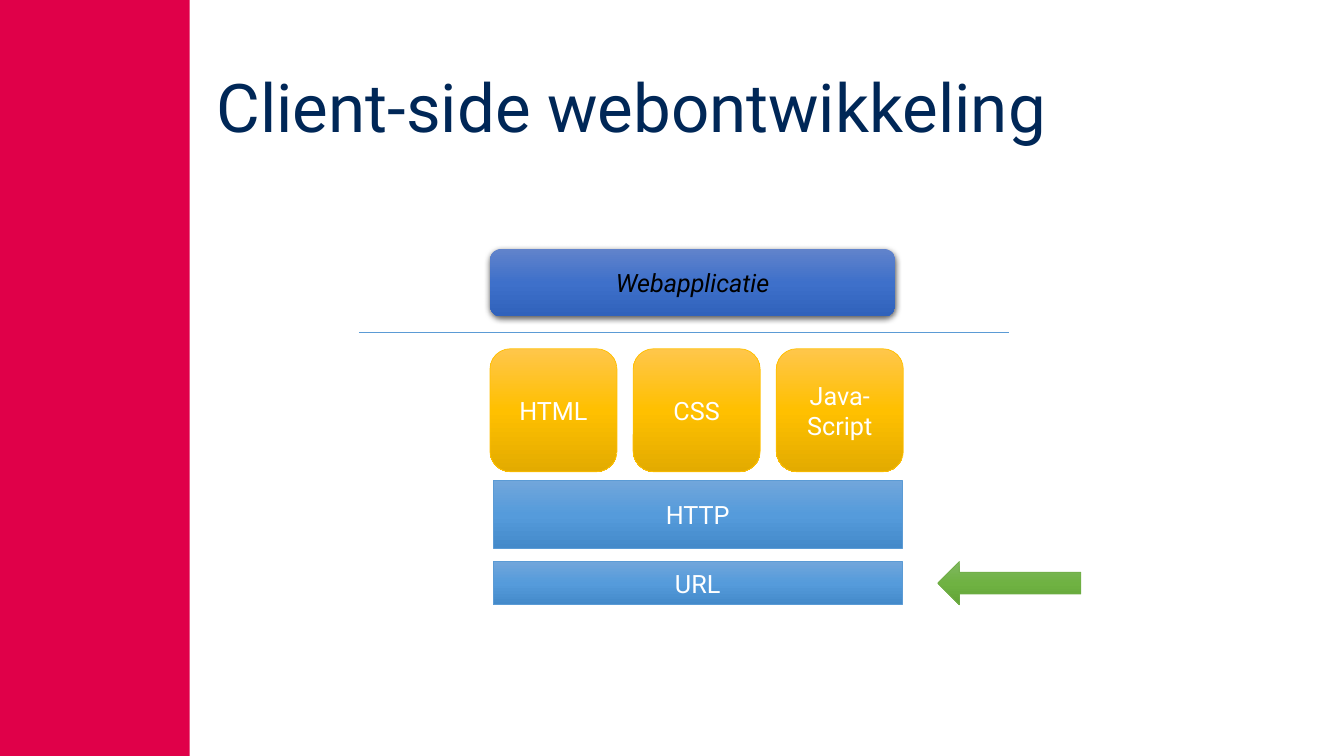
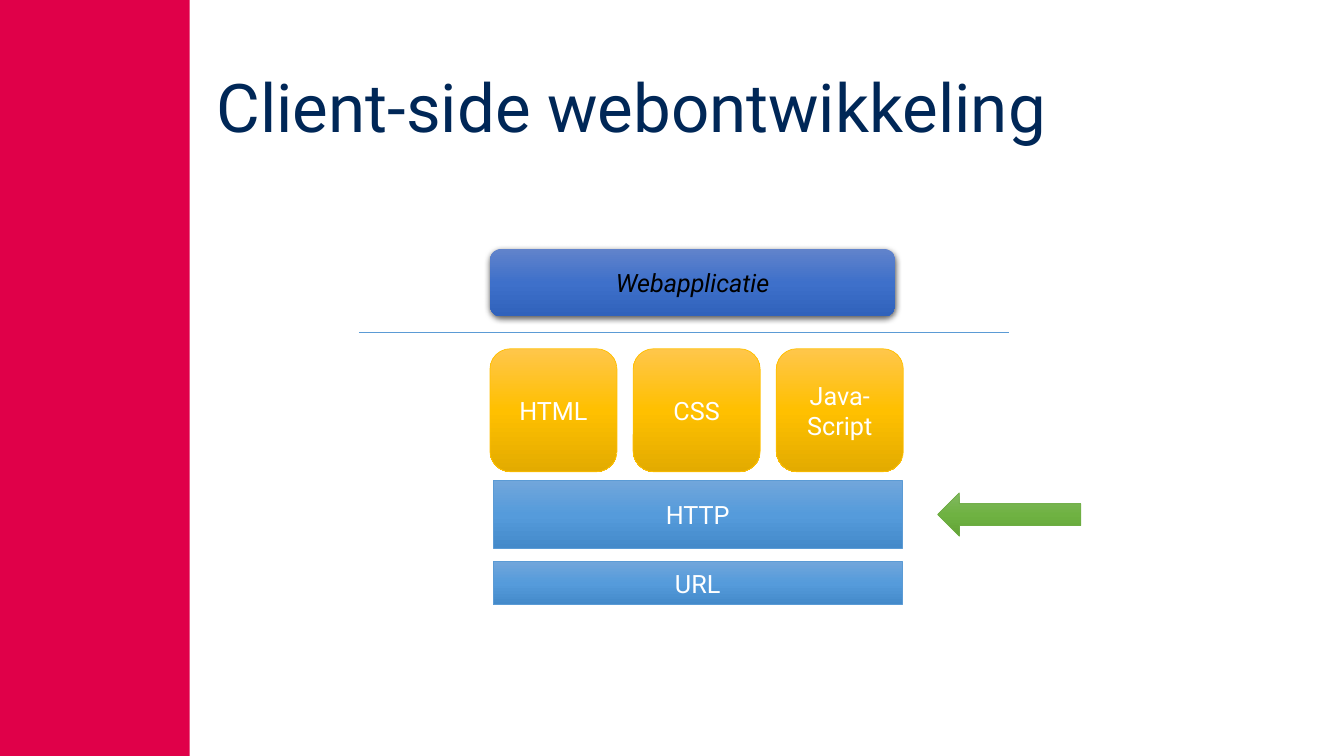
import copy

import lxml.etree
import pptx
import pptx.dml.color
import pptx.enum.shapes
import pptx.enum.text
import pptx.oxml
import pptx.oxml.ns
import pptx.util

SLIDE_W, SLIDE_H = 13.33, 7.5
BAND_W = 1.88
FONT = "Roboto"
RED, NAVY, WHITE, BLACK = "E00049", "002757", "FFFFFF", "000000"
BLUE_LINE, GOLD_LINE, GREEN_LINE = "5B9BD5", "FFC000", "70AD47"
BLUE = ("71A6DB", "559BDB", "448ACA")
GOLD = ("FFC64B", "FFC000", "E3AB00")
INDIGO = ("6183CB", "3E70CA", "3062BB")
GREEN = ("81B861", "6FB242", "62A336")

TITLE = "Client-side webontwikkeling"
TITLE_BOX = (2.05, 0.4, 10.88, 1.4)
STACK_BOX = (4.86, 2.47, 4.1, 3.53)
TILES = ("HTML", "CSS", "Java-\nScript")
TILE_GAP = 0.16
BARS = {"HTTP": (2.3, 0.67), "URL": (3.1, 0.43)}  # top within the stack, height
ARROW_W, ARROW_H, ARROW_GAP = 1.42, 0.43, 0.34

SHAPE = pptx.enum.shapes.MSO_SHAPE
ALIGN = pptx.enum.text.PP_ALIGN


def rgb(value):
    return pptx.dml.color.RGBColor.from_string(value)


def inches(*lengths):
    return [pptx.util.Inches(length) for length in lengths]


def write(sp, text, size, color, align, italic=False):
    tf = sp.text_frame
    tf.word_wrap = True
    tf.vertical_anchor = pptx.enum.text.MSO_ANCHOR.MIDDLE
    tf.text = text
    for p in tf.paragraphs:
        p.alignment = align
        p.font.name, p.font.size = FONT, pptx.util.Pt(size)
        p.font.color.rgb, p.font.italic = rgb(color), italic
    return tf


def fill_gradient(sp, colors):
    """Fill from top to bottom with three evenly spaced colours."""
    sp.fill.gradient()
    sp.fill.gradient_angle = 270
    stop_list = sp.fill._xPr.find(".//" + pptx.oxml.ns.qn("a:gsLst"))
    stop_list.append(copy.deepcopy(stop_list[-1]))
    for i, (stop, color) in enumerate(zip(sp.fill.gradient_stops, colors)):
        stop.position, stop.color.rgb = i / 2, rgb(color)


def add_block(slide, kind, box, colors, line=None):
    sp = slide.shapes.add_shape(kind, *inches(*box))
    sp.shadow.inherit = False
    fill_gradient(sp, colors)
    if line:
        sp.line.color.rgb, sp.line.width = rgb(line), pptx.util.Pt(0.5)
    else:
        sp.line.fill.background()
    return sp


def add_drop_shadow(sp):
    effects = sp._element.spPr.find(pptx.oxml.ns.qn("a:effectLst"))
    effects.append(pptx.oxml.parse_xml(
        f'<a:outerShdw {pptx.oxml.ns.nsdecls("a")} blurRad="57150" dist="19050" '
        'dir="5400000" algn="ctr" rotWithShape="0">'
        f'<a:srgbClr val="{BLACK}"><a:alpha val="63000"/></a:srgbClr></a:outerShdw>'))


def add_frame(slide, title):
    """Add the side band and the title."""
    band = slide.shapes.add_shape(SHAPE.RECTANGLE, *inches(0, 0, BAND_W, SLIDE_H))
    band.shadow.inherit = False
    band.fill.solid()
    band.fill.fore_color.rgb = rgb(RED)
    band.line.fill.background()
    tf = write(slide.shapes.add_textbox(*inches(*TITLE_BOX)), title, 48, NAVY, ALIGN.LEFT)
    tf.paragraphs[0].line_spacing = 0.9


def add_divider(slide, left, right, y):
    line = slide.shapes.add_connector(
        pptx.enum.shapes.MSO_CONNECTOR.STRAIGHT, *inches(left, y, right, y))
    line.line.color.rgb, line.line.width = rgb(BLUE_LINE), pptx.util.Pt(1)
    lxml.etree.SubElement(line._element.spPr, pptx.oxml.ns.qn("a:effectLst"))


def add_tiles(slide, box):
    left, top, width, height = box
    tile_w = (width - TILE_GAP * (len(TILES) - 1)) / len(TILES)
    for i, label in enumerate(TILES):
        tile_box = (left + i * (tile_w + TILE_GAP), top, tile_w, height)
        sp = add_block(slide, SHAPE.ROUNDED_RECTANGLE, tile_box, GOLD, GOLD_LINE)
        write(sp, label, 18, WHITE, ALIGN.CENTER)


def add_stack(slide, box, marked):
    """Draw the technology layers, with an arrow at the marked bar."""
    left, top, width, _ = box
    app = add_block(slide, SHAPE.ROUNDED_RECTANGLE, (left, top, width - 0.08, 0.67), INDIGO)
    add_drop_shadow(app)
    write(app, "Webapplicatie", 18, BLACK, ALIGN.CENTER, italic=True)
    add_divider(slide, left - 1.3, left + width + 1.05, top + 0.83)
    add_tiles(slide, (left, top + 0.99, width, 1.22))
    for label, (offset, height) in BARS.items():
        bar_box = (left + 0.03, top + offset, width - 0.04, height)
        bar = add_block(slide, SHAPE.RECTANGLE, bar_box, BLUE, BLUE_LINE)
        write(bar, label, 18, WHITE, ALIGN.CENTER)
    offset, height = BARS[marked]
    arrow_top = top + offset + (height - ARROW_H) / 2
    add_block(slide, SHAPE.LEFT_ARROW,
              (left + width + ARROW_GAP, arrow_top, ARROW_W, ARROW_H), GREEN, GREEN_LINE)


def main():
    prs = pptx.Presentation()
    prs.slide_width, prs.slide_height = inches(SLIDE_W, SLIDE_H)
    for marked in ("URL", "HTTP"):
        slide = prs.slides.add_slide(prs.slide_layouts[6])
        add_frame(slide, TITLE)
        add_stack(slide, STACK_BOX, marked)
    prs.save("out.pptx")


if __name__ == "__main__":
    main()
